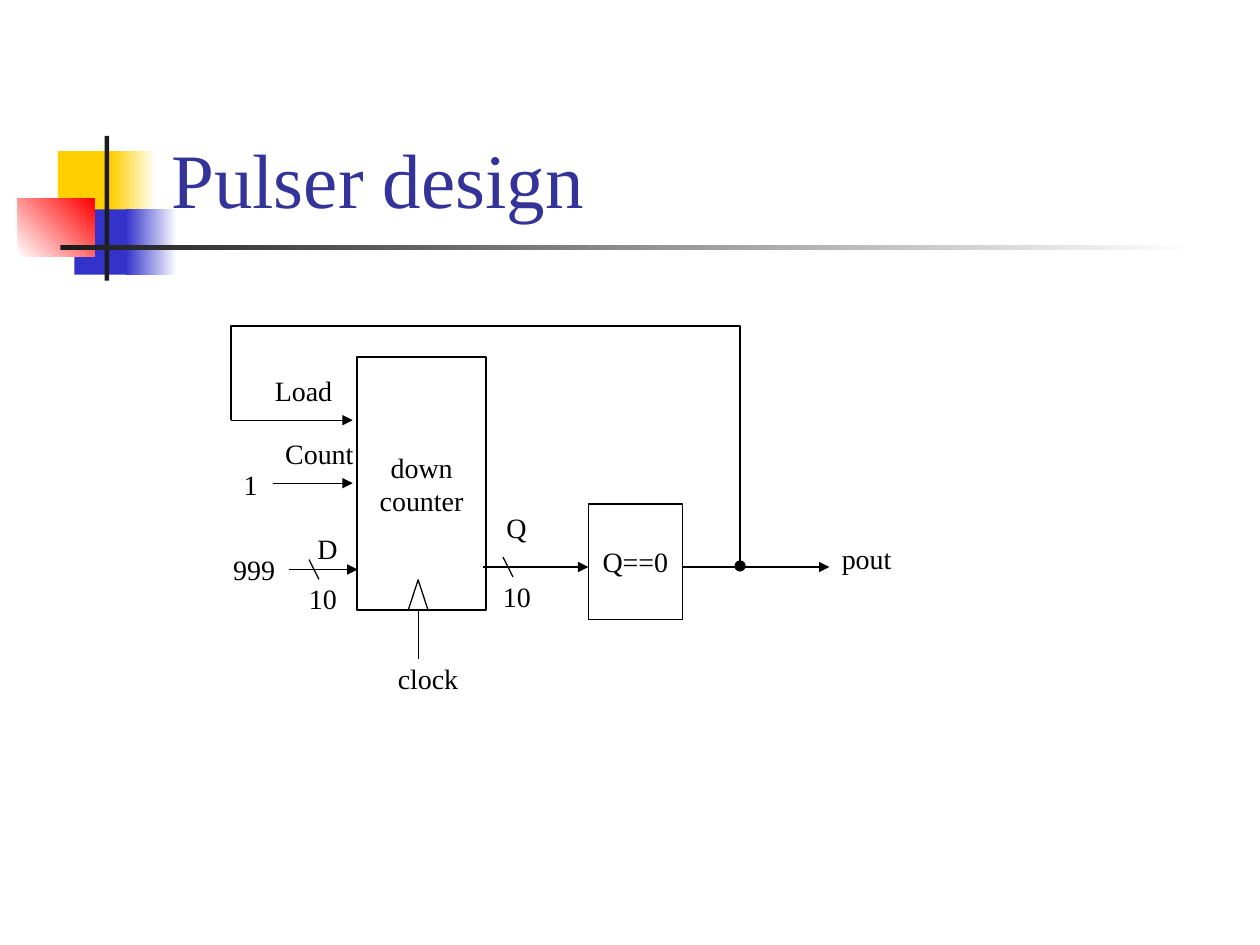
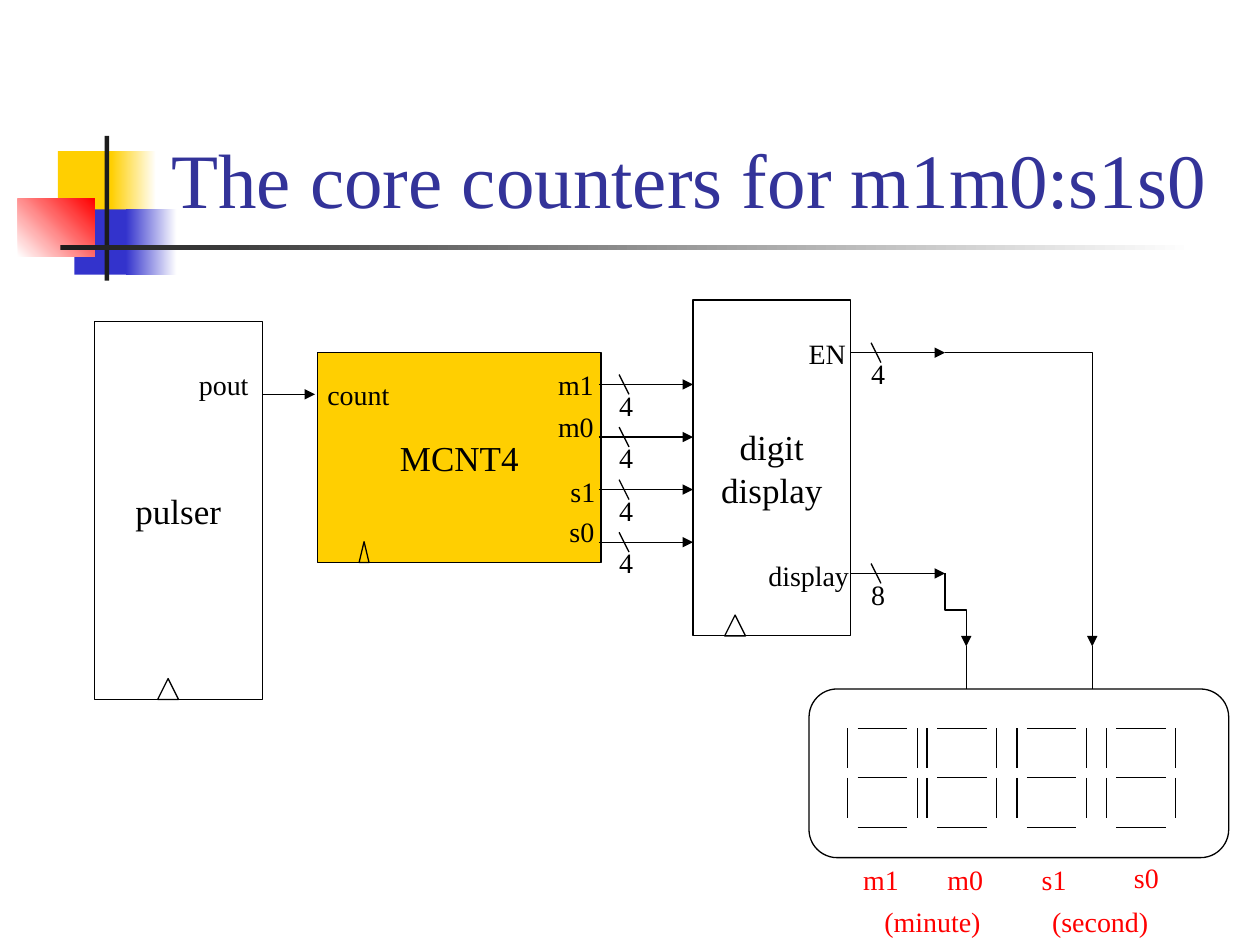
from lxml import etree
from pptx import Presentation
from pptx.dml.color import RGBColor
from pptx.enum.shapes import MSO_CONNECTOR, MSO_SHAPE
from pptx.enum.text import MSO_ANCHOR, MSO_AUTO_SIZE, PP_ALIGN
from pptx.oxml.ns import qn
from pptx.util import Cm, Pt

RECT, ROUND = MSO_SHAPE.RECTANGLE, MSO_SHAPE.ROUNDED_RECTANGLE
TRIANGLE, OVAL = MSO_SHAPE.ISOSCELES_TRIANGLE, MSO_SHAPE.OVAL
STRAIGHT, ELBOW = MSO_CONNECTOR.STRAIGHT, MSO_CONNECTOR.ELBOW
LEFT, CENTER = PP_ALIGN.LEFT, PP_ALIGN.CENTER
TOP, MIDDLE, BOTTOM = MSO_ANCHOR.TOP, MSO_ANCHOR.MIDDLE, MSO_ANCHOR.BOTTOM
FIT, NO_FIT = MSO_AUTO_SIZE.SHAPE_TO_FIT_TEXT, MSO_AUTO_SIZE.NONE

FONT = "Times New Roman"
COLORS = {
    "title": "333399", "ink": "000000", "dark": "1C1C1C", "white": "FFFFFF",
    "yellow": "FFCF01", "blue": "3333CC", "red": "FF0000",
}
# Title decoration: left, top, width, height, colours, gradient angle
BANDS = [
    (1.17, 3.05, 1.22, 1.32, ["yellow"], 0),
    (2.24, 3.05, 0.91, 1.32, ["yellow", "white"], 0),
    (1.5, 4.22, 1.17, 1.32, ["blue"], 0),
    (2.54, 4.22, 1.02, 1.32, ["blue", "white"], 0),
    (0.36, 4.01, 1.55, 1.17, ["white", "red"], 45),
    (2.11, 2.74, 0.09, 2.92, ["dark"], 0),
    (1.22, 4.94, 22.86, 0.1, ["dark", "white"], 0),
]


def rgb(name):
    return RGBColor.from_string(COLORS[name])


class Deck:
    """Holds the presentation style and the current slide; lengths are in cm."""

    def __init__(self):
        self.prs = Presentation()
        self.prs.slide_width, self.prs.slide_height = Cm(25.4), Cm(19.05)
        self.shapes = None

    def slide(self, title):
        s = self.prs.slides.add_slide(self.prs.slide_layouts[5])
        self.shapes = s.shapes
        for band in BANDS:
            self.band(*band)
        sp = s.shapes.title
        sp.left, sp.top, sp.width, sp.height = Cm(3.2), Cm(0.58), Cm(21.64), Cm(4.06)
        self.set_text(sp.text_frame, title, 44, "title", LEFT, BOTTOM)
        sp.text_frame.word_wrap = True
        sp.text_frame.auto_size = NO_FIT

    def set_text(self, tf, text, size, color, align, anchor):
        tf.text = text
        tf.vertical_anchor = anchor
        tf.word_wrap = False
        for p in tf.paragraphs:
            p.alignment = align
            for r in p.runs:
                r.font.name, r.font.size = FONT, Pt(size)
                r.font.color.rgb = rgb(color)

    def band(self, x, y, w, h, colors, angle):
        sp = self.shapes.add_shape(RECT, Cm(x), Cm(y), Cm(w), Cm(h))
        sp.shadow.inherit = False
        sp.line.fill.background()
        if len(colors) == 1:
            sp.fill.solid()
            sp.fill.fore_color.rgb = rgb(colors[0])
            return
        sp.fill.gradient()
        sp.fill.gradient_angle = angle
        for stop, color in zip(sp.fill.gradient_stops, colors):
            stop.color.rgb = rgb(color)

    def box(self, x, y, w, h, text="", size=16, fill=None, kind=RECT):
        sp = self.shapes.add_shape(kind, Cm(x), Cm(y), Cm(w), Cm(h))
        sp.shadow.inherit = False
        if fill:
            sp.fill.solid()
            sp.fill.fore_color.rgb = rgb(fill)
        else:
            sp.fill.background()
        sp.line.color.rgb = rgb("ink")
        sp.line.width = Pt(0.75)
        if text:
            self.set_text(sp.text_frame, text, size, "ink", CENTER, MIDDLE)

    def clock_mark(self, x, bottom, w=0.42, h=0.42):
        self.box(x, bottom - h, w, h, kind=TRIANGLE)

    def label(self, x, y, w, text, color="ink"):
        tf = self.shapes.add_textbox(Cm(x), Cm(y), Cm(w), Cm(0.93)).text_frame
        self.set_text(tf, text, 16, color, LEFT, TOP)
        tf.auto_size = FIT

    def line(self, x1, y1, x2, y2, arrow=False, kind=STRAIGHT):
        c = self.shapes.add_connector(kind, Cm(x1), Cm(y1), Cm(x2), Cm(y2))
        c.line.color.rgb = rgb("ink")
        c.line.width = Pt(0.75)
        spPr = c._element.spPr
        if arrow:
            etree.SubElement(spPr.find(qn("a:ln")), qn("a:tailEnd"), type="triangle")
        etree.SubElement(spPr, qn("a:effectLst"))
        return c

    def arrow(self, x1, x2, y):
        self.line(x1, y, x2, y, arrow=True)

    def elbow(self, x1, y1, x2, y2, bend, arrow=False):
        """Vertical-horizontal-vertical wire: a turned and mirrored connector."""
        cx, cy = (x1 + x2) / 2, (y1 + y2) / 2
        dx, dy = abs(y2 - y1) / 2, abs(x2 - x1) / 2
        c = self.line(cx + dx, cy - dy, cx - dx, cy + dy, arrow, ELBOW)
        spPr = c._element.spPr
        spPr.find(qn("a:xfrm")).set("rot", str((90 if y2 < y1 else 270) * 60000))
        geom = spPr.find(qn("a:prstGeom"))
        av = geom.find(qn("a:avLst"))
        if av is None:
            av = etree.SubElement(geom, qn("a:avLst"))
        etree.SubElement(av, qn("a:gd"), name="adj1", fmla=f"val {round(bend * 100000)}")

    def bus(self, x1, x2, y, bits, w=0.79, drop=-0.05):
        """Arrow with a slash and the number of bits below it."""
        self.arrow(x1, x2, y)
        self.line(x1 + 0.41, y - 0.2, x1 + 0.61, y + 0.2)
        self.label(x1 + 0.16, y + drop, w, bits)

    def digit(self, x, y):
        """Seven-segment digit."""
        for row in range(3):
            self.line(x + 0.2, y + row, x + 1.2, y + row)
        for row in range(2):
            for side in (x, x + 1.4):
                self.line(side, y + row, side, y + row + 0.81)


def pulser_slide(d):
    d.slide("Pulser design")
    # Counter and its clock
    d.box(7.2, 7.2, 2.6, 5.1, "down\ncounter")
    d.clock_mark(8.23, 12.3, 0.4, 0.61)
    d.line(8.43, 13.28, 8.43, 12.3)
    d.label(7.77, 13.21, 1.73, "clock")
    # Inputs
    d.arrow(4.66, 7.11, 8.47)
    d.label(5.29, 7.41, 1.68, "Load")
    d.arrow(5.5, 7.11, 9.74)
    d.label(5.5, 8.68, 1.88, "Count")
    d.label(4.66, 9.31, 0.79, "1")
    d.bus(5.82, 7.21, 11.48, "10", 1.07, 0.12)
    d.label(6.15, 10.59, 0.91, "D")
    d.label(4.45, 11.01, 1.35, "999")
    # Zero test and output
    d.bus(9.73, 11.86, 11.43, "10", 1.07, 0.12)
    d.label(9.96, 10.16, 0.91, "Q")
    d.box(11.86, 10.16, 1.9, 2.33, "Q==0")
    d.arrow(13.76, 16.72, 11.43)
    d.label(16.72, 10.8, 1.52, "pout")
    # Feedback to Load
    d.box(14.82, 11.31, 0.2, 0.2, fill="ink", kind=OVAL)
    d.elbow(14.92, 11.3, 4.66, 8.47, 1.67)


def core_slide(d):
    d.slide("The core counters for m1m0:s1s0")
    # Pulser
    d.box(1.9, 6.48, 3.39, 7.62, "pulser", 20)
    d.label(3.76, 7.29, 1.52, "pout")
    d.clock_mark(3.18, 14.1)
    d.arrow(5.29, 6.35, 7.95)
    # Counter
    d.box(6.4, 7.11, 5.72, 4.23, "MCNT4", 20, "yellow")
    d.label(6.35, 7.49, 1.78, "count")
    for x, y, w, name in [(11, 7.29, 1.24, "m1"), (11, 8.13, 1.24, "m0"),
                          (11.25, 9.45, 1.02, "s1"), (11.23, 10.24, 1.02, "s0")]:
        d.label(x, y, w, name)
    d.clock_mark(7.24, 11.34, 0.2)
    # Digit display driver
    d.box(13.97, 6.05, 3.18, 6.77, "digit\ndisplay", 20)
    d.label(16.05, 6.65, 1.27, "EN")
    d.label(15.24, 11.13, 2.16, "display")
    d.clock_mark(14.61, 12.82)
    for i in range(4):
        d.bus(12.07, 13.97, 7.75 + 1.06 * i, "4")
    d.bus(17.15, 19.05, 7.11, "4")
    d.bus(17.15, 19.05, 11.56, "8")
    # Seven-segment panel and its wires
    for x in (17.09, 18.69, 20.5, 22.3):
        d.digit(x, 14.68)
    d.box(16.31, 13.89, 8.46, 3.4, kind=ROUND)
    for x, y, bend in [(19.48, 11.56, 0.5), (22.02, 7.11, 0)]:
        d.line(x, 13.89, x, 13.03)
        d.elbow(19.05, y, x, 13.03, bend, arrow=True)
    for x, y, w, name in [(17.15, 17.27, 1.24, "m1"), (18.85, 17.27, 1.24, "m0"),
                          (20.75, 17.27, 1.02, "s1"), (22.61, 17.22, 1.02, "s0"),
                          (17.58, 18.11, 2.46, "(minute)"), (20.96, 18.11, 2.46, "(second)")]:
        d.label(x, y, w, name, "red")


def main():
    d = Deck()
    pulser_slide(d)
    core_slide(d)
    d.prs.save("out.pptx")


if __name__ == "__main__":
    main()
